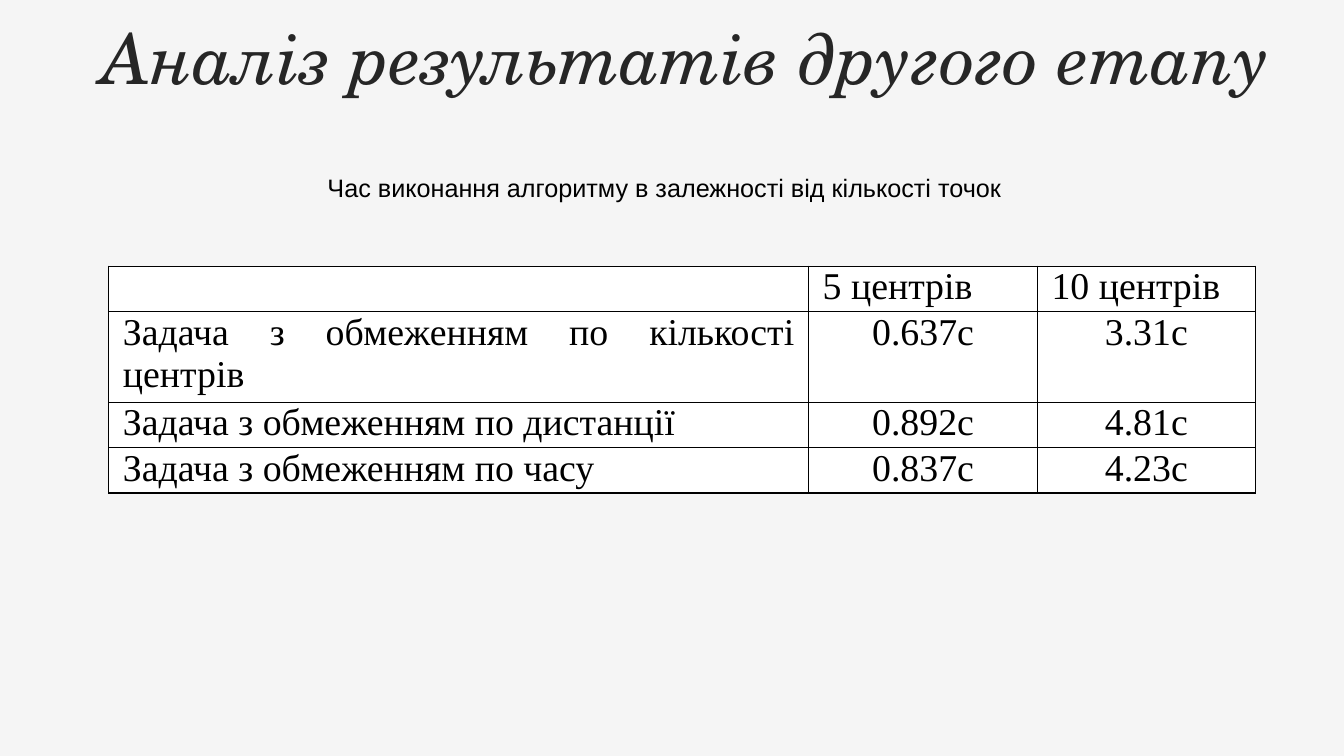
"""Builds the slide with run times of the second stage."""
from dataclasses import dataclass

from lxml.etree import SubElement
from pptx import Presentation
from pptx.dml.color import RGBColor
from pptx.enum.text import MSO_ANCHOR as Anchor, PP_ALIGN as Align
from pptx.oxml.ns import qn
from pptx.util import Inches, Pt

PAPER = RGBColor(0xF5, 0xF5, 0xF5)
WHITE = RGBColor(0xFF, 0xFF, 0xFF)
BLACK = RGBColor(0, 0, 0)
INK = RGBColor(0x26, 0x26, 0x26)
WIDTHS = (6.94, 2.27, 2.16)
HEIGHTS = (0.45, 0.9, 0.45, 0.45)


@dataclass
class Task:
    name: str
    times: tuple[str, str]


HEADS = Task("", ("5 центрів", "10 центрів"))
TASKS = (
    Task("Задача з обмеженням по кількості центрів", ("0.637с", "3.31с")),
    Task("Задача з обмеженням по дистанції", ("0.892с", "4.81с")),
    Task("Задача з обмеженням по часу", ("0.837с", "4.23с")),
)


def put_text(frame, text: str, *, font: str, size: float, color=BLACK,
             align=Align.LEFT, italic=False, space=1.0) -> None:
    frame.word_wrap = True
    para = frame.paragraphs[0]
    para.alignment = align
    para.line_spacing = space
    run = para.add_run()
    run.text = text
    run.font.name = font
    run.font.size = Pt(size)
    run.font.italic = italic
    run.font.color.rgb = color


def add_edges(cell) -> None:
    props = cell._tc.get_or_add_tcPr()
    for spot, side in enumerate(("lnL", "lnR", "lnT", "lnB")):
        line = SubElement(props, qn(f"a:{side}"), w=str(Pt(1)))
        fill = SubElement(line, qn("a:solidFill"))
        SubElement(fill, qn("a:srgbClr"), val=str(BLACK))
        props.remove(line)
        props.insert(spot, line)


def fill_cell(cell, text: str, align) -> None:
    cell.margin_left = cell.margin_right = Inches(0.14)
    cell.margin_top = cell.margin_bottom = 0
    cell.fill.solid()
    cell.fill.fore_color.rgb = WHITE
    add_edges(cell)
    if text:
        put_text(cell.text_frame, text, font="Times New Roman", size=27, align=align)


def add_grid(slide) -> None:
    frame = slide.shapes.add_table(
        len(HEIGHTS), len(WIDTHS), Inches(1.08), Inches(2.64),
        Inches(sum(WIDTHS)), Inches(sum(HEIGHTS)))
    table = frame.table
    for col, width in zip(table.columns, WIDTHS):
        col.width = Inches(width)
    for row, height in zip(table.rows, HEIGHTS):
        row.height = Inches(height)
    for r, task in enumerate((HEADS, *TASKS)):
        for c, text in enumerate((task.name, *task.times)):
            align = Align.CENTER if r and c else Align.JUSTIFY
            fill_cell(table.cell(r, c), text, align)


def add_title(slide) -> None:
    title = slide.shapes.title
    title.left, title.top = Inches(0), Inches(0.19)
    title.width, title.height = Inches(12.7), Inches(1.04)
    title.text_frame.vertical_anchor = Anchor.TOP
    put_text(title.text_frame, "Аналіз результатів другого етапу",
             font="TeX Gyre Schola", size=50, color=INK,
             align=Align.RIGHT, italic=True, space=0.9)


def add_label(slide) -> None:
    box = slide.shapes.add_textbox(Inches(3.15), Inches(1.61), Inches(7.2), Inches(0.5))
    box.text_frame.vertical_anchor = Anchor.MIDDLE
    put_text(box.text_frame, "Час виконання алгоритму в залежності від кількості точок",
             font="Arial", size=18)


def main() -> None:
    deck = Presentation()
    deck.slide_width, deck.slide_height = Inches(13.33), Inches(7.5)
    slide = deck.slides.add_slide(deck.slide_layouts[5])
    slide.background.fill.solid()
    slide.background.fill.fore_color.rgb = PAPER
    add_title(slide)
    add_grid(slide)
    add_label(slide)
    deck.save("out.pptx")


if __name__ == "__main__":
    main()
